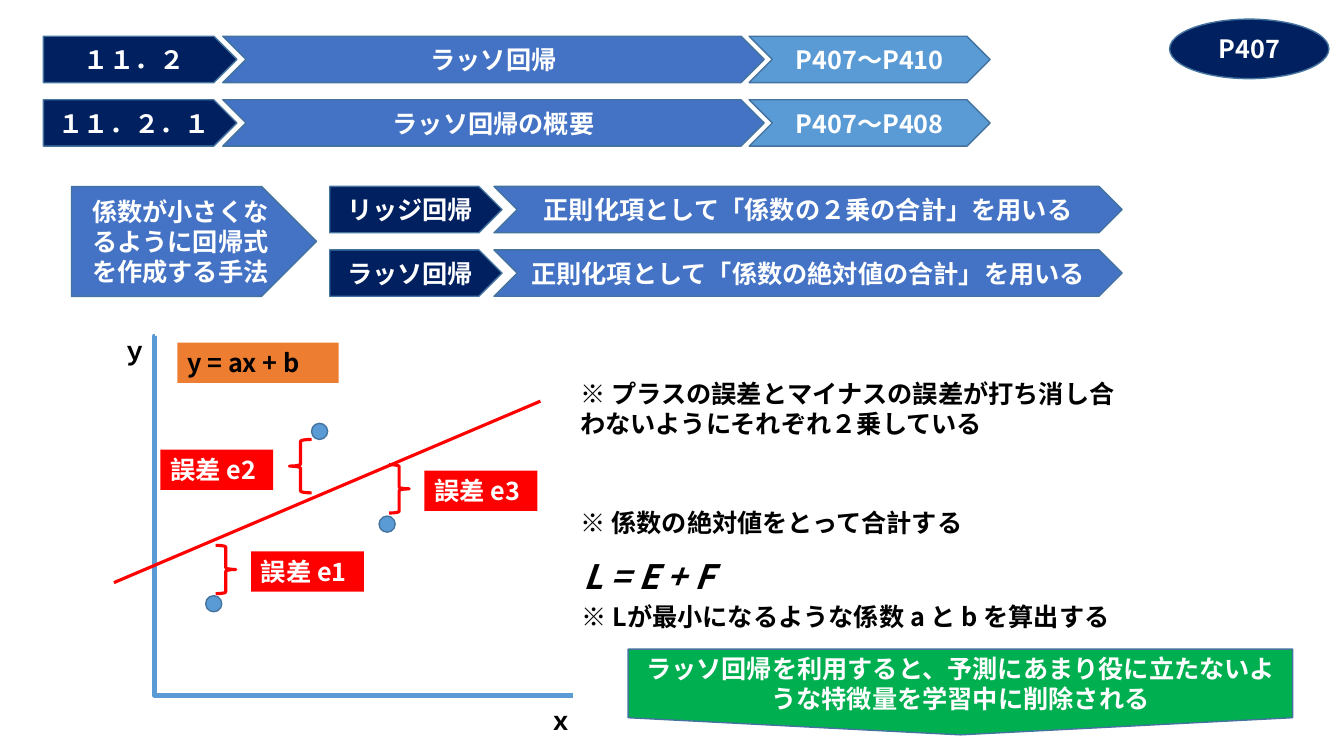
from typing import Any, NamedTuple

from lxml import etree
from pptx import Presentation
from pptx.dml.color import RGBColor
from pptx.enum.shapes import MSO_CONNECTOR, MSO_SHAPE
from pptx.enum.text import MSO_ANCHOR, MSO_AUTO_SIZE, PP_ALIGN
from pptx.oxml.ns import qn
from pptx.util import Inches, Pt

PLATE, CHEVRON, OVAL = MSO_SHAPE.PENTAGON, MSO_SHAPE.CHEVRON, MSO_SHAPE.OVAL
RECTANGLE, BRACE = MSO_SHAPE.RECTANGLE, MSO_SHAPE.LEFT_BRACE
DOT, BANNER = MSO_SHAPE.FLOWCHART_CONNECTOR, MSO_SHAPE.FLOWCHART_OFFPAGE_CONNECTOR
STRAIGHT, ELBOW = MSO_CONNECTOR.STRAIGHT, MSO_CONNECTOR.ELBOW
CENTER, LEFT = PP_ALIGN.CENTER, PP_ALIGN.LEFT
MIDDLE, TOP = MSO_ANCHOR.MIDDLE, MSO_ANCHOR.TOP
GROW, FIXED = MSO_AUTO_SIZE.SHAPE_TO_FIT_TEXT, MSO_AUTO_SIZE.NONE

FONT = "Noto Sans CJK JP"
NAVY, BLUE, SKY, EDGE = "002060", "4472C4", "5B9BD5", "43739E"
RED, ORANGE, GREEN = "FF0000", "ED7D31", "00B050"
WHITE, BLACK = "FFFFFF", "000000"
ROW_HEIGHT, ROW_STEP = 0.46, 0.63
HEADING_TOP, METHOD_TOP = 0.36, 1.85


class Area(NamedTuple):
    """A rectangle in inches."""
    left: float
    top: float
    width: float
    height: float

    def lengths(self) -> list[int]:
        """Return the rectangle as slide lengths."""
        return [Inches(value) for value in self]


class Block(NamedTuple):
    """A filled shape with a centred label."""
    kind: Any
    area: Area
    fill: str
    text: str


class ErrorMark(NamedTuple):
    """A data point with its error brace and label."""
    name: str
    dot: tuple[float, float]
    brace: Area
    label: tuple[float, float]
    flipped: bool


class Note(NamedTuple):
    """A free text on the slide."""
    area: Area
    text: str


HEADINGS = [("１１．２", "", "P407～P410"), ("１１．２．１", "ラッソ回帰の概要", "P407～P408")]
METHODS = [("リッジ回帰", "正則化項として「係数の２乗の合計」を用いる"),
           ("ラッソ回帰", "正則化項として「係数の絶対値の合計」を用いる")]
SINGLES = [
    Block(OVAL, Area(11.6, 0.19, 1.58, 0.59), NAVY, "P407"),
    Block(PLATE, Area(0.71, METHOD_TOP, 2.43, 1.09), BLUE, "係数が小さくなるように回帰式を作成する手法"),
]
CONCLUSION = Block(BANNER, Area(6.23, 6.44, 6.59, 0.85), GREEN,
                   "ラッソ回帰を利用すると、予測にあまり役に立たないような特徴量を学習中に削除される")
ERRORS = [
    ErrorMark("e2", (3.09, 4.2), Area(2.87, 4.36, 0.22, 0.53), (1.59, 4.46), False),
    ErrorMark("e3", (3.76, 5.12), Area(3.86, 4.61, 0.2, 0.48), (4.21, 4.67), True),
    ErrorMark("e1", (2.04, 5.91), Area(2.14, 5.41, 0.2, 0.48), (2.49, 5.47), True),
]
NOTES = [
    Note(Area(5.34, 6.95, 0.5, 0.4), "ｘ"),
    Note(Area(1.12, 3.28, 0.5, 0.4), "ｙ"),
    Note(Area(5.66, 3.7, 5.57, 0.71), "※ プラスの誤差とマイナスの誤差が打ち消し合わないようにそれぞれ２乗している"),
    Note(Area(5.66, 4.98, 5.57, 0.4), "※ 係数の絶対値をとって合計する"),
    Note(Area(5.67, 5.92, 5.57, 0.4), "※ Lが最小になるような係数 a と b を算出する"),
]


def color(value: str) -> RGBColor:
    """Turn a hex string into a colour."""
    return RGBColor.from_string(value)


def write_text(shape: Any, text: str, *, ink: str = WHITE, size: float = 18, italic: bool = False,
               align: Any = CENTER, anchor: Any = MIDDLE, fit: Any = FIXED, wrap: bool = True) -> None:
    """Write one formatted paragraph into a shape."""
    frame = shape.text_frame
    frame.word_wrap, frame.auto_size, frame.vertical_anchor = wrap, fit, anchor
    para = frame.paragraphs[0]
    para.alignment = align
    span = para.add_run()
    span.text = text
    font = span.font
    font.name, font.size, font.bold, font.italic = FONT, Pt(size), True, italic
    font.color.rgb = color(ink)
    etree.SubElement(font._element, qn("a:ea"), typeface=FONT)


def draw_shape(shapes: Any, kind: Any, area: Area, *, fill: str = "", line: str = "",
               weight: float = 1) -> Any:
    """Draw a preset shape, leaving out an empty fill or line."""
    shape = shapes.add_shape(kind, *area.lengths())
    shape.shadow.inherit = False
    if fill:
        shape.fill.solid()
        shape.fill.fore_color.rgb = color(fill)
    else:
        shape.fill.background()
    if line:
        shape.line.color.rgb = color(line)
        shape.line.width = Pt(weight)
    else:
        shape.line.fill.background()
    return shape


def draw_block(shapes: Any, block: Block) -> None:
    """Draw an outlined shape and its label."""
    shape = draw_shape(shapes, block.kind, block.area, fill=block.fill, line=EDGE)
    if block.text:
        write_text(shape, block.text)


def draw_label(shapes: Any, area: Area, text: str, fill: str, ink: str) -> None:
    """Draw a filled rectangle with left-aligned text."""
    shape = draw_shape(shapes, RECTANGLE, area, fill=fill)
    write_text(shape, text, ink=ink, align=LEFT, anchor=TOP, fit=GROW)


def draw_line(shapes: Any, kind: Any, ends: tuple[float, float, float, float], line: str,
              weight: float) -> Any:
    """Draw a connector between two points."""
    connector = shapes.add_connector(kind, *[Inches(value) for value in ends])
    connector.line.color.rgb = color(line)
    connector.line.width = Pt(weight)
    etree.SubElement(connector._element.spPr, qn("a:effectLst"))
    return connector


def draw_axes(shapes: Any) -> None:
    """Draw both axes as one bent line."""
    axes = draw_line(shapes, ELBOW, (1.54, 3.33, 5.68, 6.9), SKY, 3)
    geometry = axes._element.spPr.find(qn("a:prstGeom"))
    guides = geometry.find(qn("a:avLst"))
    etree.SubElement(guides, qn("a:gd"), name="adj1", fmla="val -200")


def draw_error(shapes: Any, mark: ErrorMark) -> None:
    """Draw a data point, its brace and its label as a group."""
    group = shapes.add_group_shape().shapes
    draw_shape(group, DOT, Area(*mark.dot, 0.16, 0.16), fill=SKY, line=EDGE)
    brace = draw_shape(group, BRACE, mark.brace, line=RED, weight=2.25)
    if mark.flipped:
        brace._element.spPr.get_or_add_xfrm().set("flipH", "1")
    draw_label(group, Area(*mark.label, 1.12, 0.4), f"誤差 {mark.name}", RED, WHITE)


def place_title(page: Any, area: Area, text: str) -> None:
    """Lay the slide title over its chevron."""
    title = page.shapes.title
    title.left, title.top, title.width, title.height = area.lengths()
    write_text(title, text)
    title.element.getparent().append(title.element)


def draw_rows(page: Any) -> None:
    """Draw the heading rows and the rows comparing both methods."""
    for index, (number, heading, pages) in enumerate(HEADINGS):
        top = HEADING_TOP + index * ROW_STEP
        for kind, left, width, fill, text in [(PLATE, 0.43, 1.92, NAVY, number),
                                              (CHEVRON, 2.21, 5.37, BLUE, heading),
                                              (CHEVRON, 7.43, 2.39, SKY, pages)]:
            draw_block(page.shapes, Block(kind, Area(left, top, width, ROW_HEIGHT), fill, text))
    for index, (method, meaning) in enumerate(METHODS):
        top = METHOD_TOP + index * ROW_STEP
        draw_block(page.shapes, Block(PLATE, Area(3.27, top, 1.71, ROW_HEIGHT), NAVY, method))
        draw_block(page.shapes, Block(CHEVRON, Area(4.9, top, 6.23, ROW_HEIGHT), BLUE, meaning))


def main() -> None:
    """Build the slide and save it."""
    deck = Presentation()
    deck.slide_width, deck.slide_height = Inches(13.33), Inches(7.5)
    page = deck.slides.add_slide(deck.slide_layouts[5])
    draw_rows(page)
    place_title(page, Area(2.21, HEADING_TOP, 5.37, ROW_HEIGHT), "ラッソ回帰")
    for block in SINGLES:
        draw_block(page.shapes, block)
    draw_axes(page.shapes)
    draw_line(page.shapes, STRAIGHT, (1.13, 5.78, 5.36, 3.98), RED, 2.25)
    for mark in ERRORS:
        draw_error(page.shapes, mark)
    draw_label(page.shapes, Area(1.76, 3.4, 1.6, 0.4), "y = ax + b", ORANGE, BLACK)
    for note in NOTES:
        box = page.shapes.add_textbox(*note.area.lengths())
        write_text(box, note.text, ink=BLACK, align=LEFT, anchor=TOP, fit=GROW)
    formula = page.shapes.add_textbox(*Area(5.79, 5.52, 1.53, 0.4).lengths())
    frame = formula.text_frame
    frame.margin_left = frame.margin_top = frame.margin_right = frame.margin_bottom = 0
    write_text(formula, "L = E + F", ink=BLACK, size=24, italic=True, align=LEFT, anchor=TOP,
               fit=GROW, wrap=False)
    draw_block(page.shapes, CONCLUSION)
    deck.save("out.pptx")


if __name__ == "__main__":
    main()
